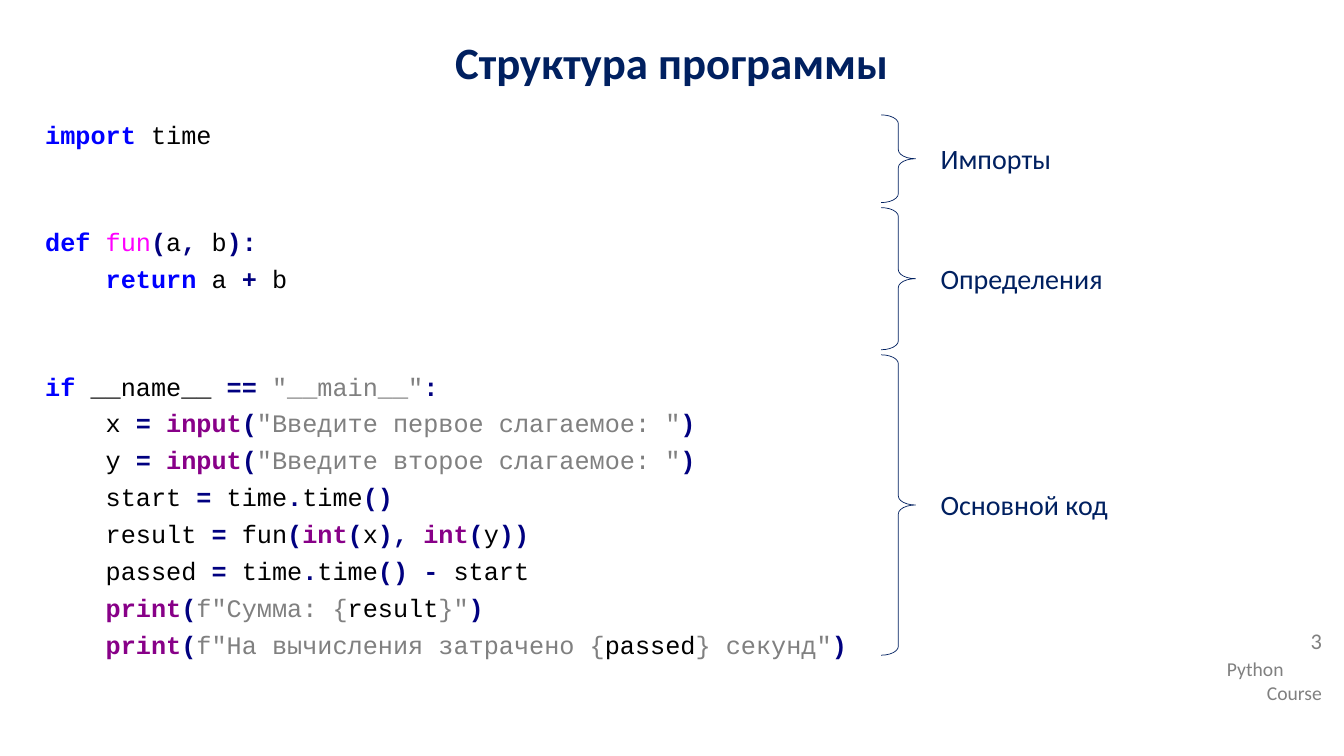
from pptx import Presentation
from pptx.dml.color import RGBColor
from pptx.enum.shapes import MSO_SHAPE
from pptx.enum.text import MSO_ANCHOR, PP_ALIGN
from pptx.util import Inches, Pt

BRACE = MSO_SHAPE.RIGHT_BRACE
TOP, MIDDLE = MSO_ANCHOR.TOP, MSO_ANCHOR.MIDDLE
LEFT, CENTER, RIGHT = PP_ALIGN.LEFT, PP_ALIGN.CENTER, PP_ALIGN.RIGHT
JUSTIFY = PP_ALIGN.JUSTIFY
NAVY, GRAY = "002060", "808080"

# Token kinds: colour and weight
KEY = ("0000FF", True)
NAME = ("000000", False)
FUN = ("FF00FF", False)
OP = ("000080", True)
CALL = ("880088", True)
TEXT = (GRAY, False)

# Each block: the lines of one program part, as (indent level, tokens)
IMPORTS = [(0, [("import", KEY), (" time", NAME)])]
DEFS = [
    (0, [("def ", KEY), ("fun", FUN), ("(", OP), ("a", NAME), (",", OP),
         (" b", NAME), ("):", OP)]),
    (1, [("return", KEY), (" a ", NAME), ("+", OP), (" b", NAME)]),
]
MAIN = [
    (0, [("if", KEY), (" __name__ ", NAME), ("== ", OP),
         ('"__main__"', TEXT), (":", OP)]),
    (1, [("x ", NAME), ("= ", OP), ("input", CALL), ("(", OP),
         ('"Введите первое слагаемое: "', TEXT), (")", OP)]),
    (1, [("y ", NAME), ("= ", OP), ("input", CALL), ("(", OP),
         ('"Введите второе слагаемое: "', TEXT), (")", OP)]),
    (1, [("start ", NAME), ("=", OP), (" time", NAME), (".", OP),
         ("time", NAME), ("()", OP)]),
    (1, [("result ", NAME), ("=", OP), (" fun", NAME), ("(", OP),
         ("int", CALL), ("(", OP), ("x", NAME), ("), ", OP),
         ("int", CALL), ("(", OP), ("y", NAME), ("))", OP)]),
    (1, [("passed ", NAME), ("=", OP), (" time", NAME), (".", OP),
         ("time", NAME), ("() -", OP), (" start", NAME)]),
    (1, [("print", CALL), ("(", OP), ('f"Сумма: {', TEXT),
         ("result", NAME), ('}"', TEXT), (")", OP)]),
    (1, [("print", CALL), ("(", OP), ('f"На вычисления затрачено {', TEXT),
         ("passed", NAME), ('} секунд"', TEXT), (")", OP)]),
]


def add_box(left, top, width, height, anchor=TOP):
    box = slide.shapes.add_textbox(
        Inches(left), Inches(top), Inches(width), Inches(height))
    frame = box.text_frame
    frame.word_wrap = True
    frame.vertical_anchor = anchor
    return frame


def add_run(para, text, size, color, bold=False, font="Calibri"):
    run = para.add_run()
    run.text = text
    run.font.name = font
    run.font.size = Pt(size)
    run.font.bold = bold
    run.font.color.rgb = RGBColor.from_string(color)


deck = Presentation()
deck.slide_width, deck.slide_height = Inches(13.33), Inches(7.5)
slide = deck.slides.add_slide(deck.slide_layouts[6])

# Title
title = add_box(0, 0.23, 13.33, 0.76, MIDDLE).paragraphs[0]
title.alignment = CENTER
title.space_before = title.space_after = Pt(5)
add_run(title, "Структура программы", 32, NAVY, True)

# Code: two empty lines' worth of space between blocks
PITCH, GAP = 25.2, 4.8
INDENT = Inches(0.6)
code = add_box(0.35, 1.13, 8.19, 5.49)
para = code.paragraphs[0]
for block in (IMPORTS, DEFS, MAIN):
    for row, (level, tokens) in enumerate(block):
        first = block is IMPORTS
        if not first:
            para = code.add_paragraph()
        para.space_before = Pt(GAP if first or row else GAP + 2 * PITCH)
        if level:
            para._p.get_or_add_pPr().set("marL", str(INDENT))
        for text, (color, bold) in tokens:
            add_run(para, text, 18, color, bold, "Courier New")

# Braces with the name of each part
for top, height, label in ((1.14, 0.87, "Импорты"),
                           (2.06, 1.41, "Определения"),
                           (3.52, 2.98, "Основной код")):
    brace = slide.shapes.add_shape(
        BRACE, Inches(8.74), Inches(top), Inches(0.34), Inches(height))
    brace.adjustments[0] = 0.26
    brace.shadow.inherit = False
    brace.fill.background()
    brace.line.color.rgb = RGBColor.from_string(NAVY)
    brace.line.width = Pt(0.5)
    para = add_box(9.23, top + height / 2 - 0.22, 3.52, 0.44).paragraphs[0]
    para.alignment = JUSTIFY
    para.space_after = Pt(6)
    add_run(para, label, 20, NAVY)

# Page number and course name
page = add_box(12.07, 6.2, 1.14, 0.45).paragraphs[0]
page.alignment = RIGHT
page.line_spacing = 0.9
add_run(page, "3", 16, GRAY)
course = add_box(12.07, 6.47, 1.14, 0.57)
for para, word, align in ((course.paragraphs[0], "Python", LEFT),
                          (course.add_paragraph(), "Course", RIGHT)):
    para.alignment = align
    add_run(para, word, 14, GRAY)

deck.save("out.pptx")
